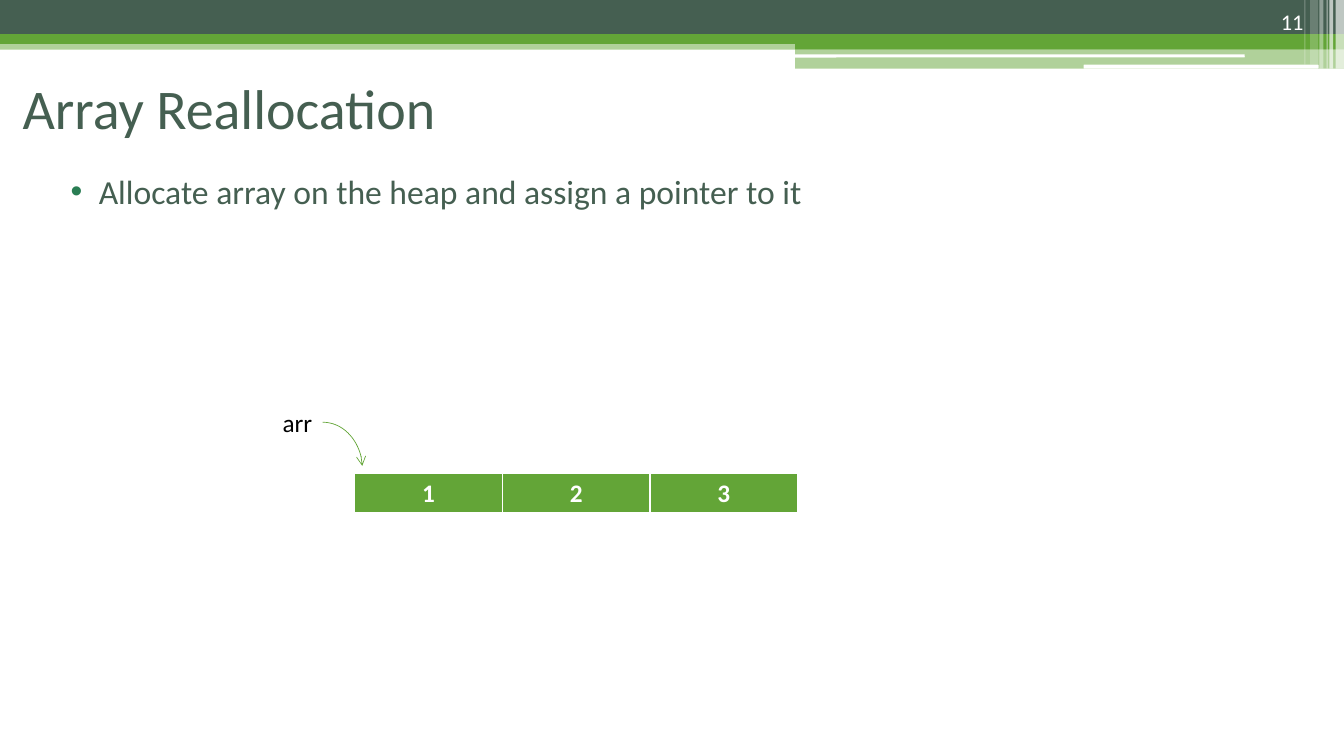
from pptx import Presentation
from pptx.dml.color import RGBColor
from pptx.enum.shapes import MSO_CONNECTOR, MSO_SHAPE
from pptx.enum.text import MSO_ANCHOR, PP_ALIGN
from pptx.oxml.ns import qn
from pptx.util import Cm, Pt
from lxml.etree import SubElement

# Content
TITLE = "Array Reallocation"
PAGE = "11"
BULLET = "Allocate array on the heap and assign a pointer to it"
POINTER = "arr"
VALUES = ["1", "2", "3"]

DARK, GREEN, WHITE, BLACK, DOT = "455F51", "63A537", "FFFFFF", "000000", "297D53"
WIDTH, HEIGHT = 33.87, 19.05
HALF = 20.04  # left edge of the right-hand bands

# Header bands: left, top, width, height, colour, opacity in percent
BANDS = [
    (0, 1.02, WIDTH, 0.23, GREEN, 50),
    (0, 0, WIDTH, 0.86, DARK, 100),
    (0, 0.86, WIDTH, 0.25, GREEN, 100),
    (HALF, 0.99, WIDTH - HALF, 0.25, GREEN, 100),
    (HALF, 1.23, WIDTH - HALF, 0.5, GREEN, 50),
]
# White rules: left, top, width, height
RULES = [(20.02, 1.37, 11.35, 0.08), (27.31, 1.63, 5.92, 0.1)]
# Vertical stripes: left, width, height, opacity in percent
STRIPES = [
    (33.66, 0.21, 1.73, 65),
    (33.5, 0.1, 1.73, 65),
    (33.43, 0.03, 1.73, 60),
    (33.25, 0.1, 1.73, 40),
    (33.02, 0.2, 1.63, 20),
    (32.87, 0.03, 1.63, 30),
]


def rgb(value):
    return RGBColor.from_string(value)


def add_block(kind, left, top, width, height, color, opacity=100):
    block = slide.shapes.add_shape(kind, Cm(left), Cm(top), Cm(width), Cm(height))
    block.shadow.inherit = False
    block.line.fill.background()
    block.fill.solid()
    block.fill.fore_color.rgb = rgb(color)
    if opacity < 100:
        tint = block.element.spPr.find(qn("a:solidFill"))[0]
        SubElement(tint, qn("a:alpha"), val=str(opacity * 1000))


def write(frame, text, size, color, align=PP_ALIGN.LEFT, bold=False):
    paragraph = frame.paragraphs[0]
    paragraph.alignment = align
    run = paragraph.add_run()
    run.text = text
    for key, value in dict(name="Calibri", size=Pt(size), bold=bold).items():
        setattr(run.font, key, value)
    run.font.color.rgb = rgb(color)
    return paragraph


def add_text(left, top, width, height, anchor, *text_format):
    box = slide.shapes.add_textbox(Cm(left), Cm(top), Cm(width), Cm(height))
    box.text_frame.word_wrap = True
    box.text_frame.vertical_anchor = anchor
    return write(box.text_frame, *text_format)


deck = Presentation()
deck.slide_width, deck.slide_height = Cm(WIDTH), Cm(HEIGHT)
slide = deck.slides.add_slide(deck.slide_layouts[5])

# Header decoration
for band in BANDS:
    add_block(MSO_SHAPE.RECTANGLE, *band)
for rule in RULES:
    add_block(MSO_SHAPE.ROUNDED_RECTANGLE, *rule, WHITE)
for left, width, height, opacity in STRIPES:
    add_block(MSO_SHAPE.RECTANGLE, left, 0, width, height, WHITE, opacity)

# Title, brought in front of the bands
title = slide.shapes.title
title.element.getparent().append(title.element)
for key, value in dict(left=0, top=1.22, width=30.48, height=2.97).items():
    setattr(title, key, Cm(value))
title.text_frame.margin_left = Cm(0.57)
title.text_frame.vertical_anchor = MSO_ANCHOR.MIDDLE
write(title.text_frame, TITLE, 40, DARK)

# Page number
add_text(30.28, 0, 2.82, 1.02, MSO_ANCHOR.BOTTOM, PAGE, 16, WHITE, PP_ALIGN.RIGHT)

# Bullet
bullet = add_text(1.22, 4.19, 30.48, 12.01, MSO_ANCHOR.TOP, BULLET, 24, DARK)
bullet.space_before = Pt(3)
bullet_format = bullet._p.get_or_add_pPr()
bullet_format.set("marL", str(Cm(1.02)))
bullet_format.set("indent", str(Cm(-0.71)))
dot_color = SubElement(bullet_format, qn("a:buClr"))
SubElement(dot_color, qn("a:srgbClr"), val=DOT)
SubElement(bullet_format, qn("a:buFont"), typeface="Arial")
SubElement(bullet_format, qn("a:buChar"), char="•")

# Array cells
CELL_WIDTH, CELL_HEIGHT = 3.72, 1.03
array = slide.shapes.add_table(
    1, len(VALUES), Cm(8.94), Cm(11.92), Cm(CELL_WIDTH * len(VALUES)), Cm(CELL_HEIGHT)
).table
for column, value in enumerate(VALUES):
    array.columns[column].width = Cm(CELL_WIDTH)
    cell = array.cell(0, column)
    cell_format = cell._tc.get_or_add_tcPr()
    for side, weight in dict(L=1, R=1, T=1, B=3).items():
        border = SubElement(cell_format, qn(f"a:ln{side}"), w=str(Pt(weight)))
        border_fill = SubElement(border, qn("a:solidFill"))
        SubElement(border_fill, qn("a:srgbClr"), val=WHITE)
    cell.fill.solid()
    cell.fill.fore_color.rgb = rgb(GREEN)
    write(cell.text_frame, value, 18, WHITE, PP_ALIGN.CENTER, True)

# Pointer label and its arrow to the first cell
add_text(5.33, 10.13, 2.79, 1.02, MSO_ANCHOR.TOP, POINTER, 18, BLACK, PP_ALIGN.RIGHT)
arrow = slide.shapes.add_connector(
    MSO_CONNECTOR.CURVE, Cm(8.13), Cm(10.64), Cm(9.13), Cm(11.74)
)
arrow.line.color.rgb = rgb(GREEN)
arrow.line.width = Pt(0.5)
arrow_format = arrow.element.spPr
arrow_format.find(qn("a:prstGeom")).set("prst", "curvedConnector2")
SubElement(arrow_format.find(qn("a:ln")), qn("a:tailEnd"), type="arrow")
SubElement(arrow_format, qn("a:effectLst"))

deck.save("out.pptx")
